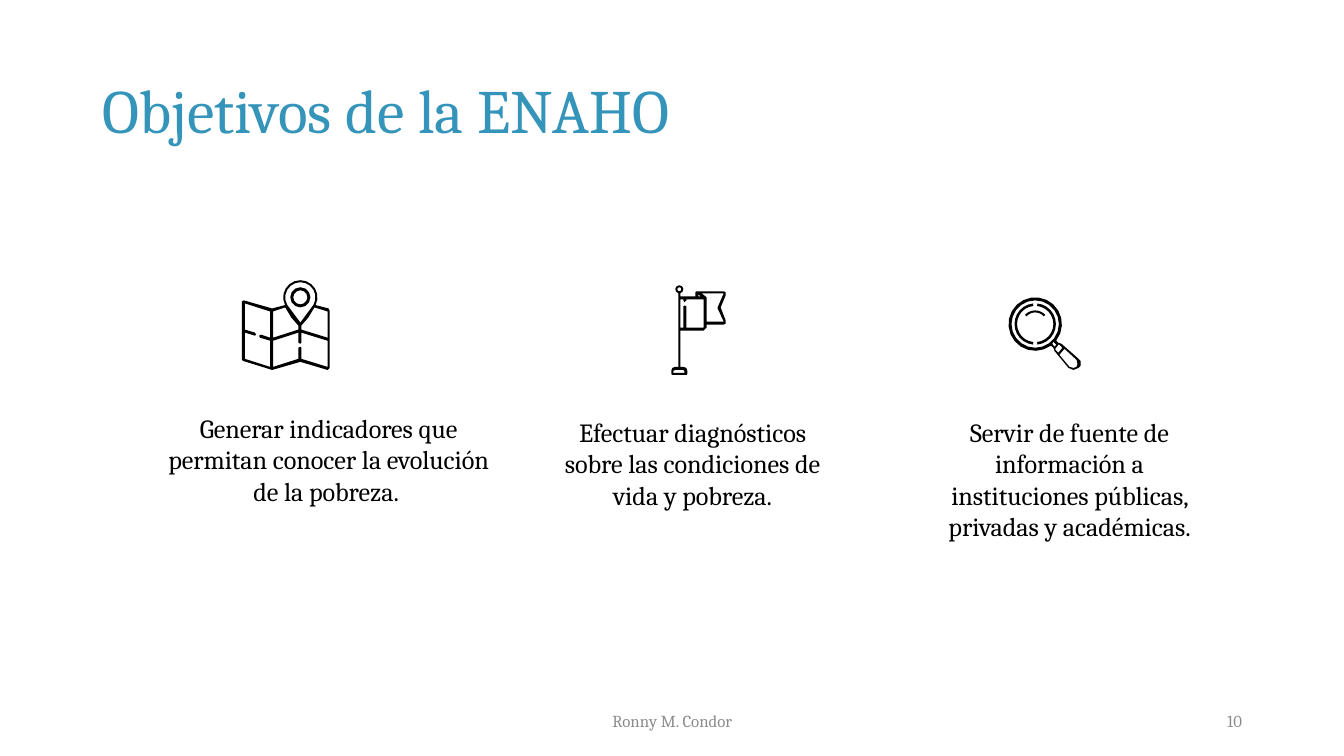
import math
from dataclasses import dataclass

import pptx
import pptx.dml.color
import pptx.enum.text
import pptx.util

Inches = pptx.util.Inches
Pt = pptx.util.Pt
ALIGN = pptx.enum.text.PP_ALIGN
ANCHOR = pptx.enum.text.MSO_ANCHOR


@dataclass(frozen=True)
class Theme:
    font: str = "Cambria"
    title_color: str = "3494BA"
    ink: str = "000000"
    muted: str = "8C8C8C"
    title_size: float = 44
    body_size: float = 18.67
    footer_size: float = 12
    body_gap: float = 21.3


def color(value):
    return pptx.dml.color.RGBColor.from_string(value)


def arc(cx, cy, radius, start, end, steps=12):
    angles = [math.radians(start + (end - start) * i / steps) for i in range(steps + 1)]
    return [(cx + radius * math.cos(a), cy + radius * math.sin(a)) for a in angles]


def band(cx, cy, outer, inner, start, end):
    return arc(cx, cy, outer, start, end) + arc(cx, cy, inner, end, start)


def write_text(frame, text, *, font, size, ink, align=ALIGN.LEFT, anchor=ANCHOR.TOP,
               margins=(0.1, 0.05), gap=None, line_spacing=None):
    frame.word_wrap = True
    frame.auto_size = pptx.enum.text.MSO_AUTO_SIZE.NONE
    frame.vertical_anchor = anchor
    frame.margin_left = frame.margin_right = Inches(margins[0])
    frame.margin_top = frame.margin_bottom = Inches(margins[1])
    paragraph = frame.paragraphs[0]
    paragraph.alignment = align
    if gap is not None:
        paragraph.space_before = paragraph.space_after = Pt(gap)
    if line_spacing is not None:
        paragraph.line_spacing = line_spacing
    run = paragraph.add_run()
    run.text = text
    run.font.name = font
    run.font.size = Pt(size)
    run.font.color.rgb = color(ink)


class SlideBuilder:
    def __init__(self, slide, theme):
        self.slide = slide
        self.theme = theme

    def title(self, text, left, top, width, height):
        heading = self.slide.shapes.title
        heading.left, heading.top = Inches(left), Inches(top)
        heading.width, heading.height = Inches(width), Inches(height)
        write_text(heading.text_frame, text, font=self.theme.font,
                   size=self.theme.title_size, ink=self.theme.title_color,
                   anchor=ANCHOR.MIDDLE, line_spacing=0.9)

    def text(self, text, left, top, width, height, **style):
        box = self.slide.shapes.add_textbox(
            Inches(left), Inches(top), Inches(width), Inches(height))
        write_text(box.text_frame, text, font=self.theme.font, **style)

    def footer(self, text, left, width, align):
        self.text(text, left, 6.95, width, 0.4, size=self.theme.footer_size,
                  ink=self.theme.muted, align=align, anchor=ANCHOR.MIDDLE)

    def objective(self, text, left, top, width, gap):
        self.text(text, left, top, width, 1.59, size=self.theme.body_size,
                  ink=self.theme.ink, align=ALIGN.CENTER, margins=(0.13, 0.13), gap=gap)

    def glyph(self, *contours):
        builder = None
        for contour in contours:
            first, *others = [(Inches(x), Inches(y)) for x, y in contour]
            if builder is None:
                builder = self.slide.shapes.build_freeform(*first)
            else:
                builder.move_to(*first)
            builder.add_line_segments(others, close=True)
        shape = builder.convert_to_shape()
        shape.shadow.inherit = False
        shape.fill.solid()
        shape.fill.fore_color.rgb = color(self.theme.ink)
        shape.line.fill.background()

    def map_icon(self):
        cx, cy = 2.98, 2.95
        silhouette = arc(cx, cy, 0.17, 153, 387) + [
            (3.26, 3.06), (3.27, 3.08), (3.27, 3.65), (3.25, 3.67), (2.98, 3.59),
            (2.7, 3.67), (2.41, 3.58), (2.4, 3.57), (2.4, 2.99), (2.42, 2.98), (2.7, 3.06)]
        pin = arc(cx, cy, 0.15, 150, 390) + [(2.98, 3.2)]
        left_panel = [
            (2.43, 3.01), (2.68, 3.09), (2.68, 3.35), (2.59, 3.32), (2.57, 3.33),
            (2.58, 3.35), (2.68, 3.38), (2.68, 3.64), (2.43, 3.56), (2.43, 3.3),
            (2.53, 3.33), (2.54, 3.32), (2.53, 3.3), (2.43, 3.27)]
        upper_middle = [(2.83, 3.05), (2.89, 3.15), (2.96, 3.23), (2.96, 3.27),
                        (2.71, 3.35), (2.71, 3.09)]
        upper_right = [(3.12, 3.05), (3.25, 3.09), (3.25, 3.35), (2.99, 3.27),
                       (2.99, 3.23), (3.06, 3.15)]
        lower_panels = [
            (2.99, 3.3), (3.25, 3.38), (3.25, 3.64), (2.99, 3.56), (2.99, 3.45),
            (2.98, 3.44), (2.96, 3.45), (2.96, 3.56), (2.71, 3.64), (2.71, 3.38),
            (2.96, 3.3), (2.96, 3.4), (2.98, 3.41), (2.99, 3.4)]
        self.glyph(silhouette, pin, left_panel, upper_middle, upper_right, lower_panels)
        self.glyph(arc(cx, cy, 0.1, 0, 360), arc(cx, cy, 0.07, 0, 360))

    def flag_icon(self):
        silhouette = arc(6.74, 2.87, 0.04, 105, 435, 8) + [
            (6.75, 2.94), (6.9, 2.94), (6.9, 2.9), (6.91, 2.89), (7.18, 2.89),
            (7.2, 2.9), (7.2, 2.93), (7.15, 3.05), (7.2, 3.18), (7.2, 3.21),
            (7.18, 3.22), (7.01, 3.22), (7.01, 3.25), (6.98, 3.28), (6.75, 3.28),
            (6.75, 3.64), (6.78, 3.64), (6.81, 3.65), (6.82, 3.68), (6.82, 3.71),
            (6.81, 3.72), (6.67, 3.72), (6.66, 3.71), (6.66, 3.68), (6.67, 3.65),
            (6.7, 3.64), (6.73, 3.64)]
        finial = arc(6.74, 2.87, 0.02, 0, 360, 8)
        fold = [(6.93, 2.92), (6.95, 2.94), (6.93, 2.94)]
        tail = [(7.18, 2.91), (7.12, 3.05), (7.12, 3.06), (7.18, 3.19), (7.01, 3.19),
                (7.01, 2.95), (7, 2.94), (6.96, 2.91)]
        front = [(6.98, 2.97), (6.98, 3.25), (6.81, 3.25), (6.81, 3.04), (6.79, 3.03),
                 (6.78, 3.04), (6.78, 3.25), (6.75, 3.25), (6.75, 2.97), (6.78, 2.97),
                 (6.78, 2.98), (6.79, 3), (6.81, 2.98), (6.81, 2.97)]
        base = [(6.78, 3.67), (6.79, 3.68), (6.79, 3.7), (6.68, 3.7), (6.68, 3.68),
                (6.7, 3.67)]
        self.glyph(silhouette, finial, fold, tail, front, base)

    def magnifier_icon(self):
        cx, cy = 10.27, 3.215
        silhouette = arc(cx, cy, 0.265, 54, 398, 20) + [
            (10.5, 3.4), (10.53, 3.41), (10.69, 3.55), (10.72, 3.58), (10.72, 3.63),
            (10.7, 3.65), (10.65, 3.67), (10.6, 3.65), (10.46, 3.48), (10.45, 3.45)]
        lens = arc(cx, cy, 0.235, 0, 360, 20)
        neck = [(10.45, 3.39), (10.48, 3.42), (10.46, 3.44), (10.44, 3.41)]
        ferrule = [(10.51, 3.42), (10.54, 3.45), (10.5, 3.5), (10.47, 3.47),
                   (10.47, 3.46), (10.5, 3.42)]
        handle = [(10.56, 3.46), (10.68, 3.57), (10.69, 3.61), (10.68, 3.64),
                  (10.65, 3.65), (10.61, 3.64), (10.51, 3.52)]
        self.glyph(band(cx, cy, 0.135, 0.115, 222, 318))
        self.glyph(silhouette, lens, neck, ferrule, handle)
        for start, end in [(-84, 84), (96, 264)]:
            self.glyph(band(cx, cy, 0.205, 0.18, start, end))


def main():
    deck = pptx.Presentation()
    deck.slide_width, deck.slide_height = Inches(40 / 3), Inches(7.5)
    theme = Theme()
    page = SlideBuilder(deck.slides.add_slide(deck.slide_layouts[5]), theme)
    page.title("Objetivos de la ENAHO", 0.92, 0.4, 11.5, 1.45)
    page.footer("Ronny M. Condor", 4.42, 4.5, ALIGN.CENTER)
    page.footer("10", 9.42, 3, ALIGN.RIGHT)
    page.map_icon()
    page.flag_icon()
    page.magnifier_icon()
    objectives = [
        ("Generar indicadores que permitan conocer la evolución de la pobreza. ",
         1.46, 3.96, 3.6, theme.body_gap),
        ("Efectuar diagnósticos sobre las condiciones de vida y pobreza.",
         5.31, 4, 3.12, theme.body_gap),
        ("Servir de fuente de información a instituciones públicas, privadas y académicas.",
         9.05, 4, 3.12, None),
    ]
    for objective in objectives:
        page.objective(*objective)
    deck.save("out.pptx")


if __name__ == "__main__":
    main()
